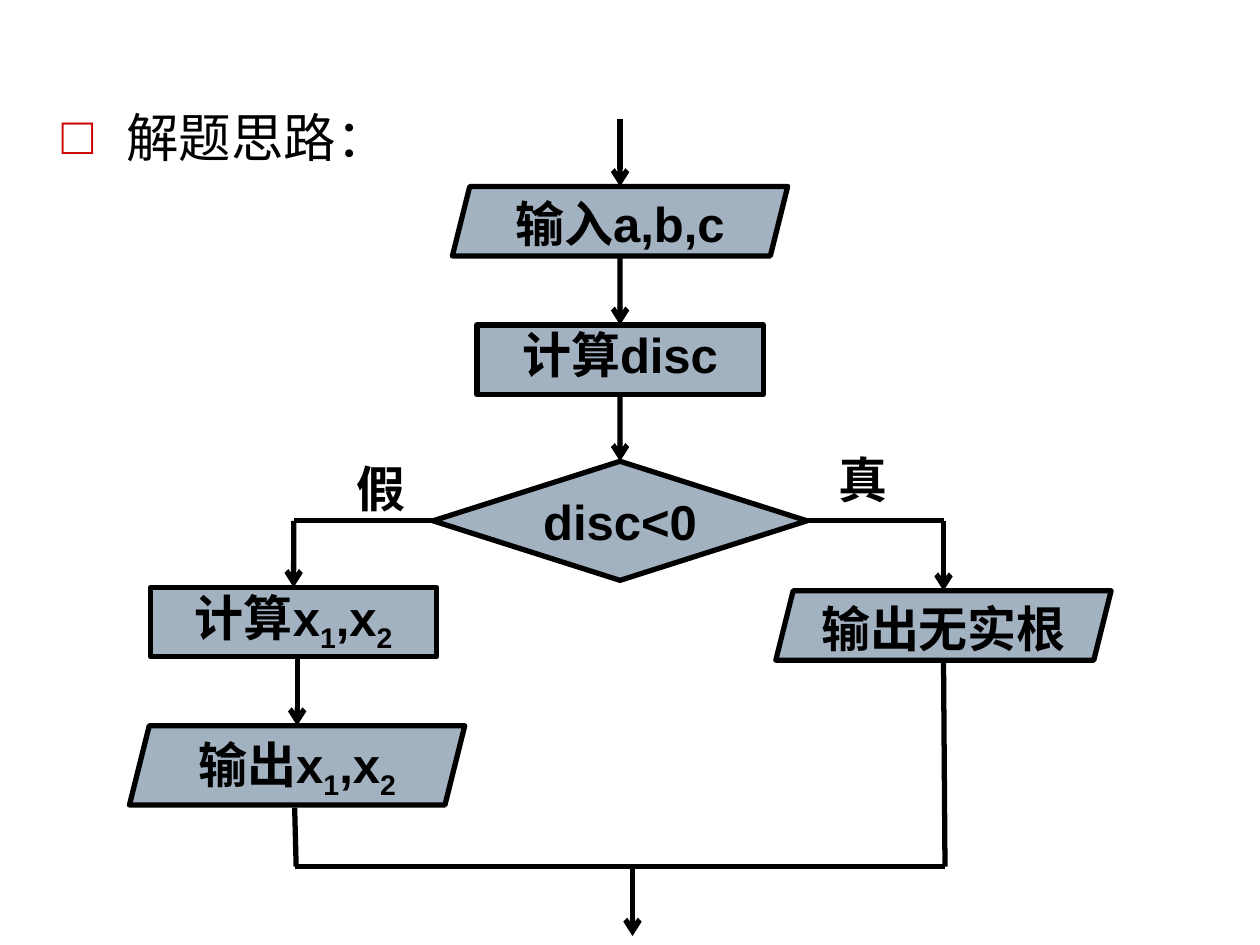
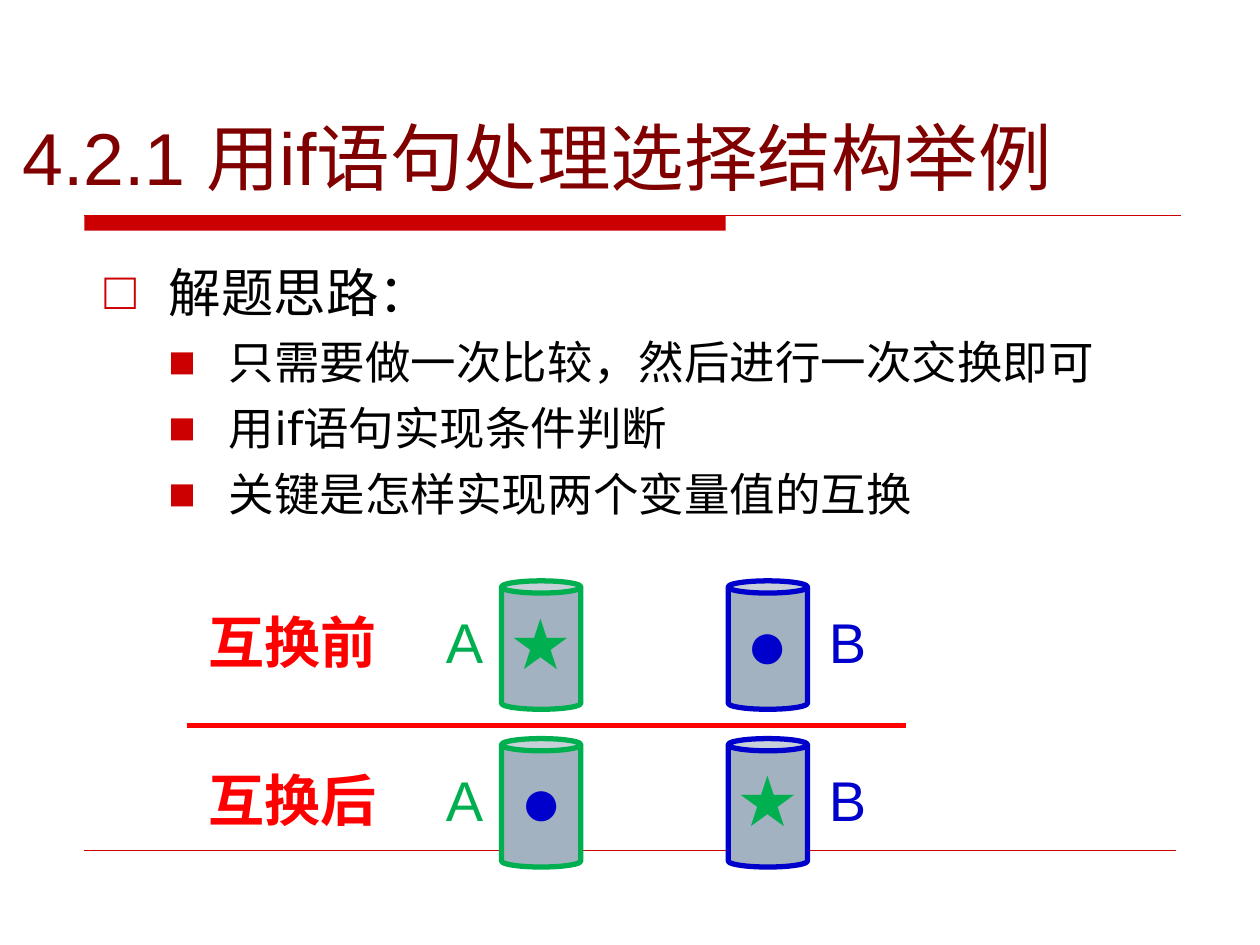
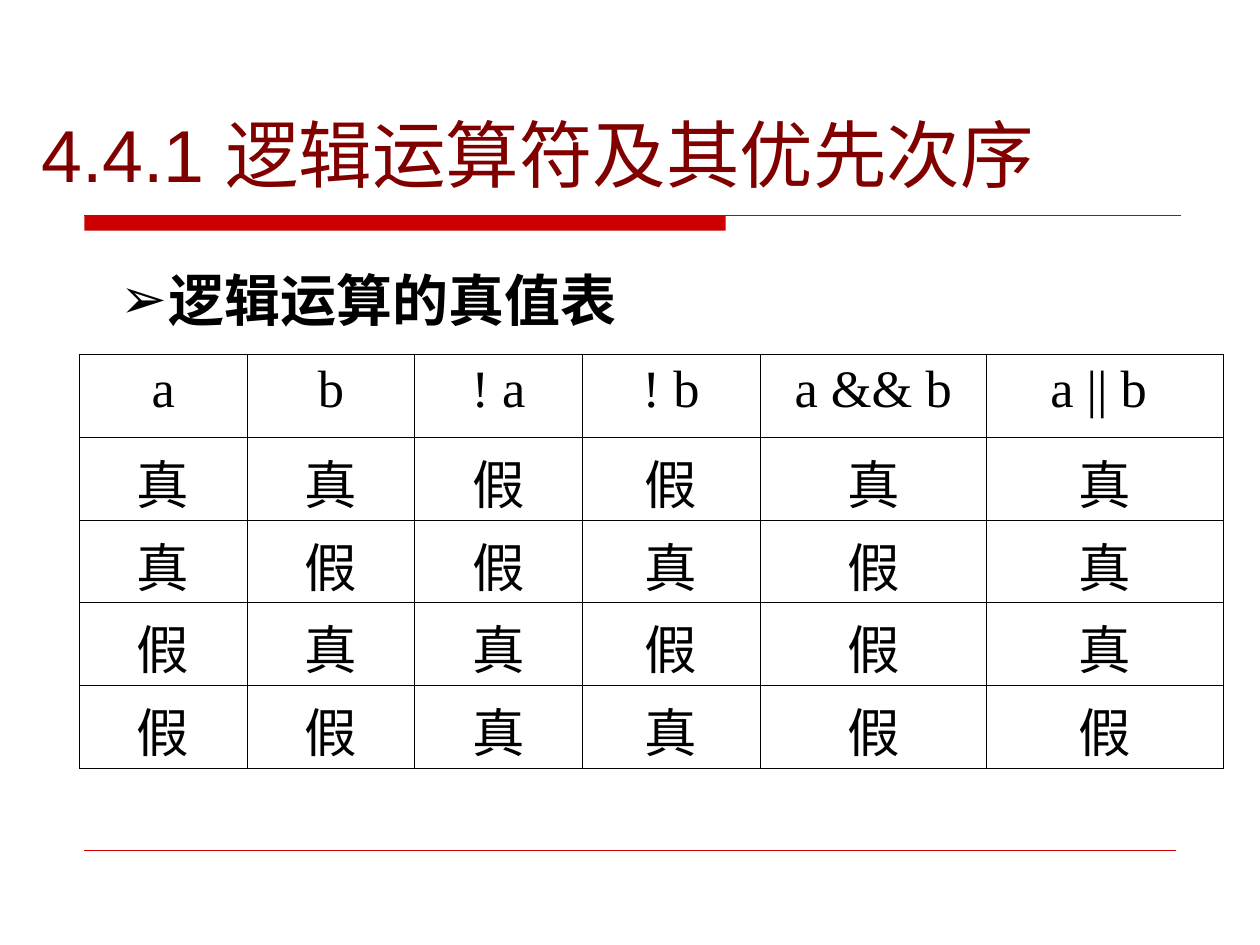
from dataclasses import dataclass
from typing import NamedTuple, Union

from lxml.etree import SubElement
from pptx import Presentation
from pptx.dml.color import RGBColor
from pptx.enum.shapes import MSO_CONNECTOR, MSO_SHAPE
from pptx.enum.text import MSO_ANCHOR, MSO_AUTO_SIZE, PP_ALIGN
from pptx.oxml.ns import qn
from pptx.util import Cm, Pt

# Colours and fonts
BLACK = RGBColor(0x00, 0x00, 0x00)
RED = RGBColor(0xFF, 0x00, 0x00)
BAND_RED = RGBColor(0xCC, 0x00, 0x00)
TITLE_RED = RGBColor(0x80, 0x00, 0x00)
STEEL = RGBColor(0xA3, 0xB2, 0xC1)
GREEN = RGBColor(0x00, 0xB0, 0x50)
BLUE = RGBColor(0x00, 0x00, 0xCC)
SANS = "Arial"
LIST_FONT = "DejaVu Sans"
SERIF = "Times New Roman"

TITLE_AND_LIST, TITLE_ONLY = 1, 5
TOP, LEFT, BOTTOM, RIGHT = range(4)


class Box(NamedTuple):
    """Left, top, width and height in centimetres."""
    left: float
    top: float
    width: float
    height: float

    def lengths(self) -> list:
        return [Cm(value) for value in self]


class Point(NamedTuple):
    x: float
    y: float


@dataclass(frozen=True)
class TextStyle:
    size: float
    color: RGBColor = BLACK
    bold: bool = False
    font: str = SANS


@dataclass(frozen=True)
class Bullet:
    character: str
    color: RGBColor
    margin: float
    hanging: float


class TextRun(NamedTuple):
    text: str
    subscript: bool = False


class ListItem(NamedTuple):
    text: str
    level: int = 0


@dataclass(frozen=True)
class Node:
    name: str
    kind: MSO_SHAPE
    center: float
    top: float
    width: float
    height: float
    runs: tuple


class Joint(NamedTuple):
    node: str
    side: int


class Flow(NamedTuple):
    begin: Union[Point, Joint]
    end: Union[Point, Joint]
    arrow: bool = True


TITLE_STYLE = TextStyle(42, TITLE_RED)
FLOW_STYLE = TextStyle(28, bold=True)
CELL_STYLE = TextStyle(30, font=SERIF)
LIST_STYLES = (TextStyle(30, font=LIST_FONT), TextStyle(26, font=LIST_FONT))
LIST_BULLETS = (Bullet("□", BAND_RED, 1.3, 1.3), Bullet("■", BAND_RED, 2.51, 1.22))
HEADING_BULLET = Bullet("➢", BLACK, 0.97, 0.97)


# Text
def add_run(paragraph, text: str, style: TextStyle, subscript: bool = False) -> None:
    run = paragraph.add_run()
    run.text = text
    run.font.name = style.font
    run.font.size = Pt(style.size)
    run.font.bold = style.bold
    run.font.color.rgb = style.color
    if subscript:
        run.font._element.set("baseline", "-25000")


def set_bullet(paragraph, bullet: Bullet) -> None:
    properties = paragraph._p.get_or_add_pPr()
    properties.set("marL", str(Cm(bullet.margin)))
    properties.set("indent", str(-Cm(bullet.hanging)))
    color = SubElement(properties, qn("a:buClr"))
    SubElement(color, qn("a:srgbClr"), val=str(bullet.color))
    SubElement(properties, qn("a:buFont"), typeface=SANS)
    SubElement(properties, qn("a:buChar"), char=bullet.character)


def place(shape, box: Box) -> None:
    shape.left, shape.top, shape.width, shape.height = box.lengths()


def set_title(slide, text: str, box: Box) -> None:
    title = slide.shapes.title
    place(title, box)
    frame = title.text_frame
    frame.auto_size = MSO_AUTO_SIZE.SHAPE_TO_FIT_TEXT
    frame.vertical_anchor = MSO_ANCHOR.MIDDLE
    paragraph = frame.paragraphs[0]
    paragraph.alignment = PP_ALIGN.LEFT
    add_run(paragraph, text, TITLE_STYLE)


def set_list(slide, items: list[ListItem], box: Box) -> None:
    body = slide.placeholders[1]
    place(body, box)
    frame = body.text_frame
    frame.auto_size = MSO_AUTO_SIZE.NONE
    for index, item in enumerate(items):
        paragraph = frame.add_paragraph() if index else frame.paragraphs[0]
        paragraph.level = item.level
        set_bullet(paragraph, LIST_BULLETS[item.level])
        paragraph.space_before = Pt(6.5 if index else 0)
        add_run(paragraph, item.text, LIST_STYLES[item.level])


def add_label(slide, text: str, box: Box, style: TextStyle):
    label = slide.shapes.add_textbox(*box.lengths())
    frame = label.text_frame
    frame.word_wrap = True
    frame.auto_size = MSO_AUTO_SIZE.SHAPE_TO_FIT_TEXT
    add_run(frame.paragraphs[0], text, style)
    return label


# Shapes and lines
def add_filled_shape(slide, kind: MSO_SHAPE, box: Box, fill: RGBColor,
                     outline: RGBColor | None = None):
    shape = slide.shapes.add_shape(kind, *box.lengths())
    shape.shadow.inherit = False
    shape.fill.solid()
    shape.fill.fore_color.rgb = fill
    if outline is None:
        shape.line.fill.background()
    else:
        shape.line.color.rgb = outline
        shape.line.width = Pt(3)
    frame = shape.text_frame
    frame.word_wrap = False
    frame.vertical_anchor = MSO_ANCHOR.TOP
    frame.paragraphs[0].alignment = PP_ALIGN.CENTER
    return shape


def add_line(slide, begin: Point, end: Point, color: RGBColor = BLACK,
             width: float = 3, arrow: bool = False):
    connector = slide.shapes.add_connector(
        MSO_CONNECTOR.STRAIGHT, *(Cm(value) for value in (*begin, *end)))
    connector.line.color.rgb = color
    connector.line.width = Pt(width)
    if arrow:
        SubElement(connector.line._get_or_add_ln(), qn("a:tailEnd"), type="arrow")
    SubElement(connector._element.spPr, qn("a:effectLst"))
    return connector


def add_bands(slide) -> None:
    """Title band and footer rule."""
    add_filled_shape(slide, MSO_SHAPE.RECTANGLE, Box(1.7, 4.34, 12.93, 0.31), BAND_RED)
    add_line(slide, Point(1.7, 4.34), Point(23.8, 4.34), BAND_RED, 0.75)
    add_line(slide, Point(1.7, 17.15), Point(23.7, 17.15), BAND_RED, 0.25)


def new_slide(presentation, layout: int):
    return presentation.slides.add_slide(presentation.slide_layouts[layout])


# Slide 1: flow chart of the quadratic equation
MAIN, FALSE_BRANCH, TRUE_BRANCH = 12.5, 5.92, 19.02
BRANCH_Y, MERGE_Y = 10.5, 17.47
ROOTS = (TextRun("1", True), TextRun(",x"), TextRun("2", True))
PROCESS, DATA = MSO_SHAPE.FLOWCHART_PROCESS, MSO_SHAPE.PARALLELOGRAM

NODES = [
    Node("input", DATA, MAIN, 3.76, 6.76, 1.4, (TextRun("输入a,b,c"),)),
    Node("discriminant", PROCESS, MAIN, 6.55, 5.77, 1.4, (TextRun("计算disc"),)),
    Node("decision", MSO_SHAPE.FLOWCHART_DECISION, MAIN, 9.3, 7.54, 2.4,
         (TextRun("disc<0"),)),
    Node("roots", PROCESS, FALSE_BRANCH, 11.84, 5.77, 1.4, (TextRun("计算x"), *ROOTS)),
    Node("no roots", DATA, TRUE_BRANCH, 11.91, 6.76, 1.4, (TextRun("输出无实根"),)),
    Node("output", DATA, 5.99, 14.63, 6.76, 1.6, (TextRun("输出x"), *ROOTS)),
]

FLOWS = [
    Flow(Point(MAIN, 2.39), Point(MAIN, 3.76)),
    Flow(Point(MAIN, 5.16), Joint("discriminant", TOP)),
    Flow(Joint("discriminant", BOTTOM), Joint("decision", TOP)),
    Flow(Joint("decision", LEFT), Point(FALSE_BRANCH, BRANCH_Y), False),
    Flow(Point(FALSE_BRANCH, BRANCH_Y), Joint("roots", TOP)),
    Flow(Point(5.99, 13.24), Point(5.99, 14.63)),
    Flow(Point(5.94, 16.28), Point(5.97, MERGE_Y), False),
    Flow(Joint("decision", RIGHT), Point(TRUE_BRANCH, BRANCH_Y), False),
    Flow(Point(TRUE_BRANCH, BRANCH_Y), Point(TRUE_BRANCH, 11.91)),
    Flow(Point(TRUE_BRANCH, 13.31), Point(19.05, MERGE_Y), False),
    Flow(Point(5.94, MERGE_Y), Point(19.05, MERGE_Y), False),
    Flow(Point(12.75, MERGE_Y), Point(12.75, 18.87)),
]


def add_node(slide, node: Node):
    box = Box(node.center - node.width / 2, node.top, node.width, node.height)
    shape = add_filled_shape(slide, node.kind, box, STEEL, BLACK)
    frame = shape.text_frame
    frame.margin_left = frame.margin_right = frame.margin_top = frame.margin_bottom = 0
    for run in node.runs:
        add_run(frame.paragraphs[0], run.text, FLOW_STYLE, run.subscript)
    return shape


def add_flow(slide, flow: Flow, shapes: dict) -> None:
    begin, end = (stop if isinstance(stop, Point) else Point(0, 0)
                  for stop in (flow.begin, flow.end))
    connector = add_line(slide, begin, end, arrow=flow.arrow)
    if isinstance(flow.begin, Joint):
        connector.begin_connect(shapes[flow.begin.node], flow.begin.side)
    if isinstance(flow.end, Joint):
        connector.end_connect(shapes[flow.end.node], flow.end.side)


def build_flow_chart(presentation) -> None:
    slide = new_slide(presentation, TITLE_AND_LIST)
    title = slide.shapes.title._element
    title.getparent().remove(title)
    set_list(slide, [ListItem("解题思路：")], Box(0.99, 1.98, 7.54, 2.18))
    shapes = {node.name: add_node(slide, node) for node in NODES}
    for flow in FLOWS:
        add_flow(slide, flow, shapes)
    for text, left, top in (("假", 6.93, 9.12), ("真", 16.66, 8.94)):
        add_label(slide, text, Box(left, top, 1.4, 1.45), FLOW_STYLE)


# Slide 2: swapping two variables
class Variable(NamedTuple):
    name: str
    color: RGBColor
    can_left: float
    name_left: float


VARIABLES = (Variable("A", GREEN, 10.11, 8.74), Variable("B", BLUE, 14.68, 16.46))
STAR, DISC = ("★", GREEN), ("●", BLUE)
SWAP_STAGES = (("互换前", (STAR, DISC)), ("互换后", (DISC, STAR)))


def build_swap(presentation) -> None:
    slide = new_slide(presentation, TITLE_AND_LIST)
    add_bands(slide)
    set_title(slide, "4.2.1 用if语句处理选择结构举例", Box(0.2, 2.13, 25, 2.03))
    set_list(slide, [
        ListItem("解题思路："),
        ListItem("只需要做一次比较，然后进行一次交换即可", 1),
        ListItem("用if语句实现条件判断", 1),
        ListItem("关键是怎样实现两个变量值的互换", 1),
    ], Box(1.85, 5.11, 21.23, 6.78))
    for row, (caption, values) in enumerate(SWAP_STAGES):
        top = 11.71 + 3.18 * row
        label_top = top + 0.41
        add_label(slide, caption, Box(3.96, label_top, 3.96, 1.63),
                  TextStyle(32, RED, bold=True))
        for variable, (symbol, color) in zip(VARIABLES, values):
            can = add_filled_shape(slide, MSO_SHAPE.CAN,
                                   Box(variable.can_left, top, 1.6, 2.59),
                                   STEEL, variable.color)
            can.adjustments[0] = 0.154
            add_run(can.text_frame.paragraphs[0], symbol, TextStyle(40, color))
            add_label(slide, variable.name, Box(variable.name_left, label_top, 1.19, 1.63),
                      TextStyle(32, variable.color))
    add_line(slide, Point(3.76, 14.63), Point(18.26, 14.63), RED)


# Slide 3: truth table
COLUMN_WIDTHS = (3.38, 3.38, 3.38, 3.58, 4.57, 4.78)
ROW_HEIGHT = 1.67
TRUTH_TABLE = (
    ("a", "b", "! a", "! b", "a && b", "a || b "),
    tuple("真真假假真真"),
    tuple("真假假真假真"),
    tuple("假真真假假真"),
    tuple("假假真真假假"),
)


def set_borders(cell) -> None:
    properties = cell._tc.get_or_add_tcPr()
    for index, side in enumerate(("a:lnL", "a:lnR", "a:lnT", "a:lnB")):
        line = properties.makeelement(qn(side), {"w": str(Pt(0.45))})
        properties.insert(index, line)
        fill = SubElement(line, qn("a:solidFill"))
        SubElement(fill, qn("a:srgbClr"), val=str(BLACK))


def add_truth_table(slide) -> None:
    box = Box(1.6, 7.14, sum(COLUMN_WIDTHS), ROW_HEIGHT * len(TRUTH_TABLE))
    table = slide.shapes.add_table(
        len(TRUTH_TABLE), len(COLUMN_WIDTHS), *box.lengths()).table
    table.first_row = table.horz_banding = False
    for column, width in zip(table.columns, COLUMN_WIDTHS):
        column.width = Cm(width)
    for row, values in zip(table.rows, TRUTH_TABLE):
        row.height = Cm(ROW_HEIGHT)
        for cell, value in zip(row.cells, values):
            cell.fill.background()
            cell.margin_left = cell.margin_right = Cm(0.2)
            set_borders(cell)
            paragraph = cell.text_frame.paragraphs[0]
            paragraph.alignment = PP_ALIGN.CENTER
            add_run(paragraph, value, CELL_STYLE)


def build_truth_table(presentation) -> None:
    slide = new_slide(presentation, TITLE_ONLY)
    add_bands(slide)
    set_title(slide, "4.4.1 逻辑运算符及其优先次序", Box(0.58, 2.08, 23.83, 2.03))
    add_truth_table(slide)
    heading = add_label(slide, "逻辑运算的真值表", Box(2.18, 4.95, 12.12, 1.78),
                        TextStyle(32, bold=True))
    heading.text_frame.auto_size = MSO_AUTO_SIZE.NONE
    paragraph = heading.text_frame.paragraphs[0]
    set_bullet(paragraph, HEADING_BULLET)
    paragraph.line_spacing = 1.2


def main() -> None:
    presentation = Presentation()
    presentation.slide_width, presentation.slide_height = Cm(25.4), Cm(19.05)
    build_flow_chart(presentation)
    build_swap(presentation)
    build_truth_table(presentation)
    presentation.save("out.pptx")


if __name__ == "__main__":
    main()
